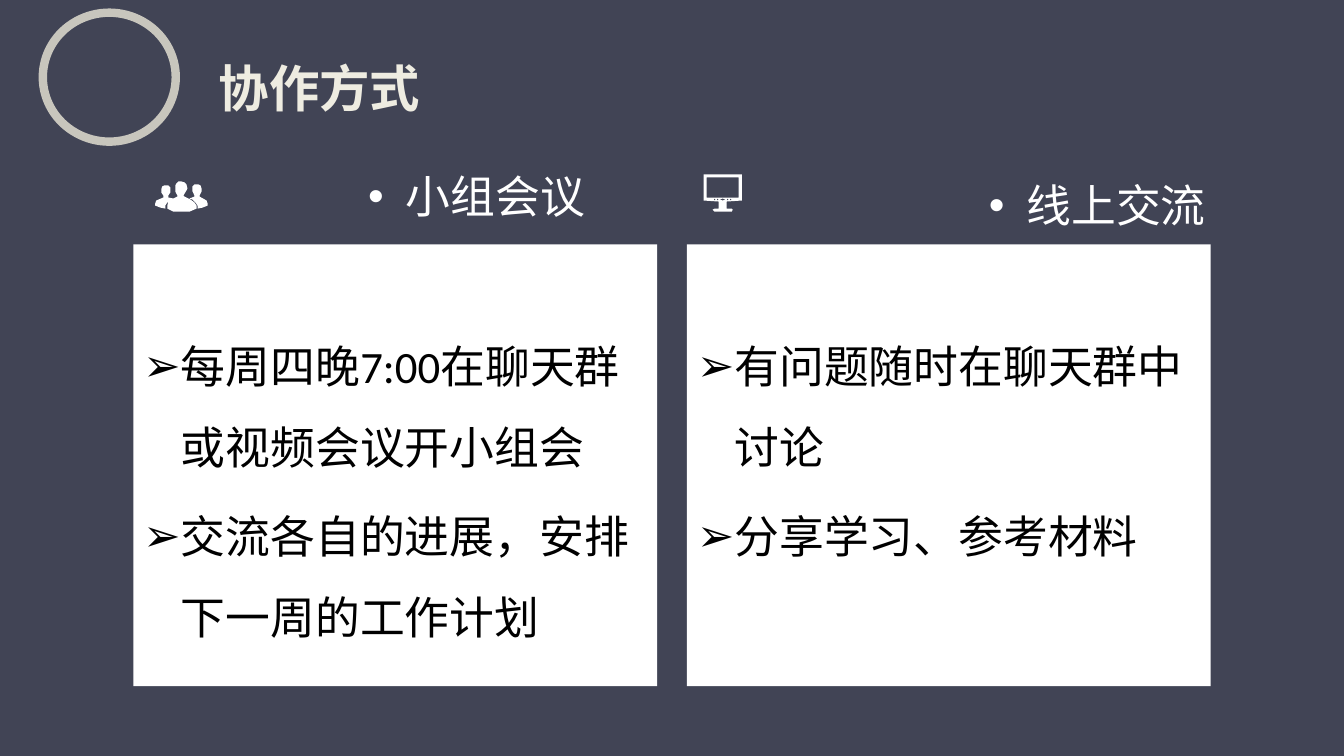
from lxml import etree
from pptx import Presentation
from pptx import util as u
from pptx.dml.color import RGBColor
from pptx.enum import shapes, text
from pptx.oxml.ns import qn

rgb = RGBColor.from_string
NAVY, WHITE, BLACK, CREAM, STONE = "414455", "FFFFFF", "000000", "EEECE1", "C8C6BD"


def write(frame, lines, mark, color):
    """Fill a frame with bulleted lines."""
    frame.word_wrap = True
    frame.vertical_anchor = text.MSO_ANCHOR.TOP
    frame.text = "\n".join(lines)
    for para in frame.paragraphs:
        para.alignment = text.PP_ALIGN.LEFT
        para.space_before = u.Pt(6.4)
        props = para._p.get_or_add_pPr()
        props.set("marL", str(u.Cm(0.95)))
        props.set("indent", str(u.Cm(-0.95)))
        etree.SubElement(props, qn("a:buFont")).set("typeface", "Arial")
        etree.SubElement(props, qn("a:buChar")).set("char", mark)
        font = para.runs[0].font
        font.size, font.name = u.Pt(32), "Calibri"
        font.color.rgb = rgb(color)
        etree.SubElement(font._element, qn("a:ea")).set("typeface", "Calibri")


def draw(host, *loops):
    """Draw white closed outlines, in hundredths of an inch; inner loops are holes."""
    pen = host.build_freeform(*loops[0][0], scale=u.Cm(2.54) / 100)
    pen.add_line_segments(loops[0][1:])
    for loop in loops[1:]:
        pen.move_to(*loop[0])
        pen.add_line_segments(loop[1:])
    icon = pen.convert_to_shape()
    icon.shadow.inherit = False
    icon.fill.solid()
    icon.fill.fore_color.rgb = rgb(WHITE)
    icon.line.fill.background()


deck = Presentation()
deck.slide_width, deck.slide_height = u.Cm(33.87), u.Cm(19.05)
slide = deck.slides.add_slide(deck.slide_layouts[5])
slide.background.fill.solid()
slide.background.fill.fore_color.rgb = rgb(NAVY)

# Title
title = slide.shapes.title
title.left, title.top = u.Cm(5.26), u.Cm(1.3)
title.width, title.height = u.Cm(7.32), u.Cm(1.8)
frame = title.text_frame
frame.text = "协作方式"
frame.auto_size = text.MSO_AUTO_SIZE.NONE
frame.vertical_anchor = text.MSO_ANCHOR.MIDDLE
frame.paragraphs[0].alignment = text.PP_ALIGN.LEFT
font = frame.paragraphs[0].runs[0].font
font.size, font.bold, font.name = u.Pt(36), True, "Noto Sans CJK SC"
font.color.rgb = rgb(CREAM)
etree.SubElement(font._element, qn("a:ea")).set("typeface", "Noto Sans CJK SC")

# Cards with their headings: card left, heading left and top, heading, points
cards = [
    (3.36, 9.03, 4.13, "小组会议",
     ["每周四晚7:00在聊天群或视频会议开小组会", "交流各自的进展，安排下一周的工作计划"]),
    (17.31, 24.67, 4.36, "线上交流",
     ["有问题随时在聊天群中讨论", "分享学习、参考材料"]),
]
for left, head_x, head_y, head, points in cards:
    card = slide.shapes.add_shape(shapes.MSO_SHAPE.RECTANGLE, u.Cm(left), u.Cm(6.16),
                                  u.Cm(13.2), u.Cm(11.13))
    card.shadow.inherit = False
    card.fill.solid()
    card.fill.fore_color.rgb = rgb(WHITE)
    card.line.fill.background()
    write(card.text_frame, points, "➢", BLACK)
    card.text_frame.margin_top = u.Cm(1.7)
    for para in card.text_frame.paragraphs:
        para.line_spacing = 1.5
    label = slide.shapes.add_textbox(u.Cm(head_x), u.Cm(head_y), u.Cm(13.2), u.Cm(2.06))
    write(label.text_frame, [head], "•", WHITE)

# People icon
people = slide.shapes.add_group_shape().shapes
draw(people, [
    (183, 195), (182, 194), (185, 189), (185.5, 187), (185, 183), (183, 181), (180, 180),
    (177, 180.5), (175, 182), (174, 184), (173.5, 188), (174, 190), (176, 194), (176, 195),
    (172, 197), (167, 196), (167, 194), (169, 191), (169, 186), (167, 184.5), (165, 184),
    (163, 184), (161, 185), (160, 188), (160, 191), (162, 194), (162, 196), (155, 199),
    (153.5, 202), (154, 204), (159, 206.5), (164, 207), (164.5, 204), (166, 201), (168, 199),
    (167, 200.5), (166, 204), (166, 207), (172, 209.5), (180, 210.5), (188, 209.5),
    (195, 207), (195, 204), (193, 201), (189, 198)])
draw(people, [
    (205, 199), (198, 195), (198, 194), (200, 190), (200, 187), (199, 184), (197, 183),
    (193, 183), (191, 185), (191, 190), (193, 194), (193, 195), (188, 197), (191, 198.5),
    (194, 201), (195.5, 204), (196, 207), (201, 206), (206, 204), (206.5, 202)])

# Monitor icon, with a row of buttons under the screen
buttons = [[(x - r, 198), (x, 197), (x + r, 198), (x, 199)]
           for x, r in [(709, 1), (712, 1), (717, 3), (722, 1), (725, 1)]]
draw(slide.shapes, [
    (698, 173), (698, 199), (713, 200), (713, 207), (709, 207), (707, 208), (709, 210),
    (726, 210), (727, 208), (726, 207), (721, 207), (721, 200), (736, 199), (736, 173)],
    [(701, 176), (733, 176), (733, 196), (701, 196)], *buttons)

# Ring
ring = slide.shapes.add_shape(shapes.MSO_SHAPE.OVAL, u.Cm(1.08), u.Cm(0.32),
                              u.Cm(3.35), u.Cm(3.25))
ring.shadow.inherit = False
ring.fill.solid()
ring.fill.fore_color.rgb = rgb(NAVY)
ring.line.color.rgb = rgb(STONE)
ring.line.width = u.Pt(6)

deck.save("out.pptx")
